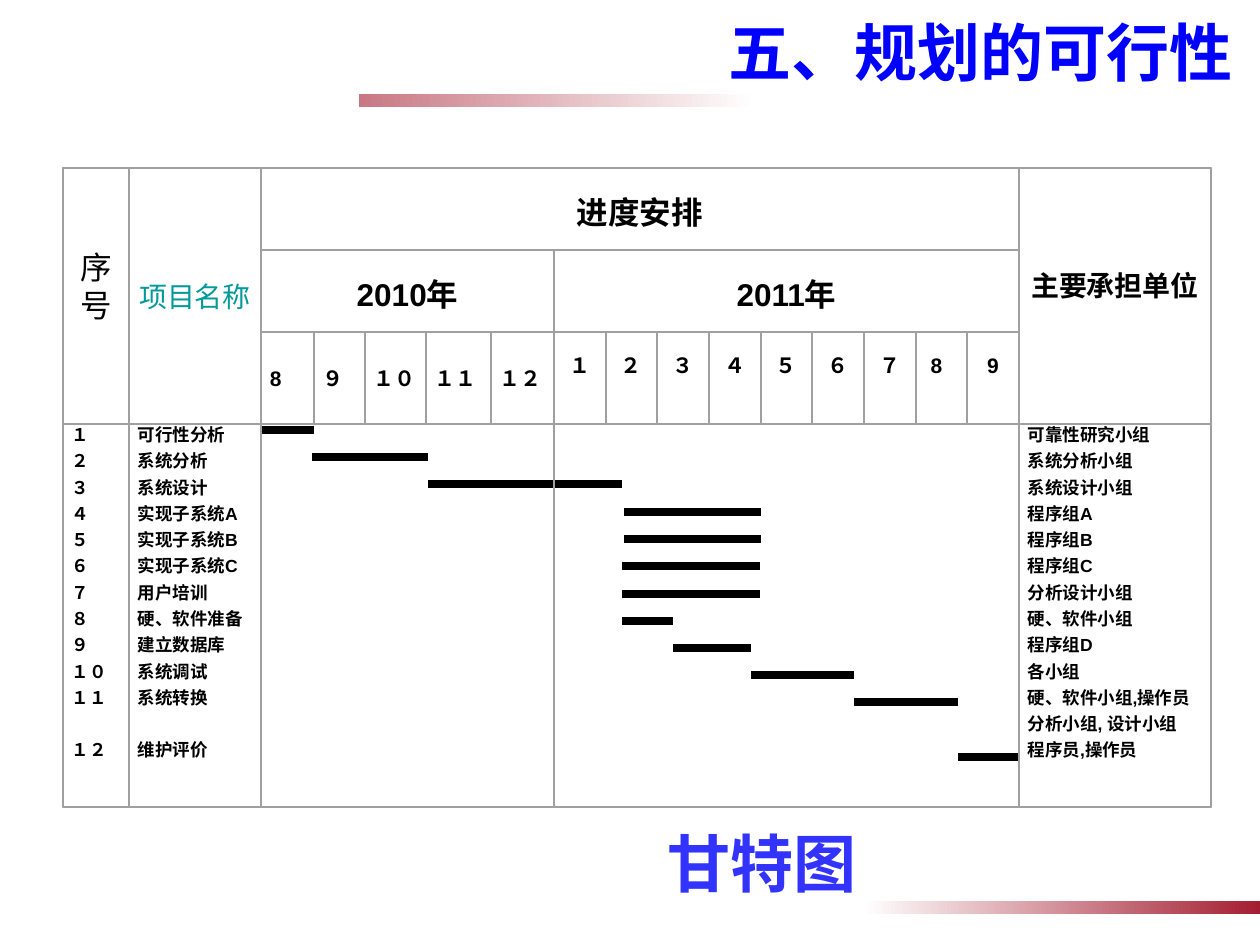
from dataclasses import dataclass

from lxml.etree import SubElement
from pptx import Presentation
from pptx.dml.color import RGBColor as RGB
from pptx.enum.shapes import MSO_CONNECTOR as CONN, MSO_SHAPE as SHAPE
from pptx.enum.text import MSO_ANCHOR as ANCHOR, PP_ALIGN as ALIGN
from pptx.oxml.ns import qn
from pptx.util import Pt


@dataclass(frozen=True)
class Theme:
    """Colours, fonts and type sizes of the deck."""
    title: RGB = RGB(0, 0, 255)
    caption: RGB = RGB(0x33, 0x33, 255)
    accent: RGB = RGB(0, 0x99, 0x99)
    ink: RGB = RGB(0, 0, 0)
    grid: RGB = RGB(0xA0, 0xA0, 0xA0)
    white: RGB = RGB(255, 255, 255)
    red: RGB = RGB(0xA4, 0x1E, 0x31)
    pink: RGB = RGB(0xC8, 0x78, 0x83)
    body_font: str = "Arial"
    title_font: str = "Noto Sans CJK SC"
    caption_font: str = "Times New Roman"
    display: int = 36
    head: int = 18
    label: int = 16
    month: int = 12
    body: int = 10


T = Theme()
PX = 914400 / 126
COLS = [0, 66, 198, 491, 956, 1148]
ROWS = [0, 82, 164, 256, 639]
MONTHS_2010 = ["8", "９", "１０", "１１", "１２"]
EDGES_2010 = [198, 251, 302, 363, 428, 491]
MONTHS_2011 = ["１", "２", "３", "４", "５", "６", "７", " 8", "9"]
EDGES_2011 = [491 + round(i * 465 / 9) for i in range(10)]
NUMBERS = ["１", "２", "３", "４", "５", "６", "７", "８", "９", "１０", "１１", "１２"]
TASKS = ["可行性分析", "系统分析", "系统设计", "实现子系统A", "实现子系统B", "实现子系统C",
         "用户培训", "硬、软件准备", "建立数据库", "系统调试", "系统转换", "维护评价"]
OWNERS = ["可靠性研究小组", "系统分析小组", "系统设计小组", "程序组A", "程序组B", "程序组C",
          "分析设计小组", "硬、软件小组", "程序组D", "各小组", "硬、软件小组,操作员",
          "分析小组, 设计小组", "程序员,操作员"]
BARS = [(0, 199, 251), (1, 249, 365), (2, 365, 559), (3, 561, 698), (4, 561, 698),
        (5, 559, 697), (6, 559, 697), (7, 559, 610), (8, 610, 688), (9, 688, 791),
        (10, 791, 895), (12, 895, 955)]


def emu(*px):
    """Turn px lengths into EMU."""
    return [round(v * PX) for v in px]


def write(sp, lines, size, color=T.ink, font=T.body_font, bold=True, align=ALIGN.CENTER,
          anchor=ANCHOR.TOP, inset=(0, 0, 0, 0), gap=0):
    """Fill a shape with one paragraph per line and return its paragraphs."""
    tf = sp.text_frame
    tf.word_wrap = True
    tf.vertical_anchor = anchor
    tf.margin_left, tf.margin_top, tf.margin_right, tf.margin_bottom = emu(*inset)
    tf.text = "\n".join(lines)
    for i, p in enumerate(tf.paragraphs):
        p.alignment = align
        p.space_before = Pt(gap if i else 0)
        p.font.size, p.font.bold, p.font.name = Pt(size), bold, font
        p.font.color.rgb = color
    return tf.paragraphs


def add_rect(s, box):
    """Add a plain rectangle without a shadow."""
    sp = s.shapes.add_shape(SHAPE.RECTANGLE, *emu(*box))
    sp.shadow.inherit = False
    return sp


def add_cell(s, box, width=0.0):
    """Add an unfilled grid cell with a thin border."""
    sp = add_rect(s, box)
    sp.fill.background()
    sp.line.color.rgb = T.grid
    sp.line.width = Pt(width)
    return sp


def add_stripe(s, box, left, right):
    """Add a decorative stripe fading from left to right."""
    sp = add_rect(s, box)
    sp.line.fill.background()
    sp.fill.gradient()
    sp.fill.gradient_angle = 0
    for stop, color in zip(sp.fill.gradient_stops, (left, right)):
        stop.color.rgb = color


def add_heading(s, box, text, **style):
    """Add a large line of text."""
    write(s.shapes.add_textbox(*emu(*box)), [text], T.display, **style)


def add_bars(s, x, y):
    """Draw the schedule bars on their rows."""
    for row, start, end in BARS:
        top = y + round(262 + row * 27.25)
        ln = s.shapes.add_connector(CONN.STRAIGHT, *emu(x + start, top, x + end, top))
        ln.line.color.rgb = T.ink
        ln.line.width = Pt(4.5)
        SubElement(ln._element.spPr, qn("a:effectLst"))


def add_header(s, cell):
    """Fill the header rows with titles, years and months."""
    mid = dict(anchor=ANCHOR.MIDDLE, inset=(9, 0, 9, 0))
    raised = dict(anchor=ANCHOR.MIDDLE, inset=(9, 0, 9, 21))
    top = dict(inset=(9, 25, 9, 0))
    write(cell(0, 1, 0, 3), "序号", T.head, bold=False, **raised)
    write(cell(1, 2, 0, 3), ["项目名称"], T.label, T.accent, bold=False, **mid)
    write(cell(2, 4, 0, 1), ["进度安排"], T.head, **top)
    write(cell(4, 5, 0, 3), ["主要承担单位"], T.label, **raised)
    write(cell(2, 3, 1, 2), ["2010年"], T.head, **top)
    write(cell(3, 4, 1, 2), ["2011年"], T.head, **top)
    for i, month in enumerate(MONTHS_2010):
        write(cell(i, i + 1, 2, 3, EDGES_2010), [month], T.month, align=ALIGN.LEFT, **mid)
    for i, month in enumerate(MONTHS_2011):
        align = ALIGN.LEFT if month.startswith(" ") else ALIGN.CENTER
        write(cell(i, i + 1, 2, 3, EDGES_2011), [month], T.month, align=align,
              inset=(9, 21, 9, 0))


def add_body(s, cell):
    """Fill the body row with numbers, tasks and owners."""
    for col, lines in ((0, NUMBERS), (1, TASKS), (2, []), (3, []), (4, OWNERS)):
        sp = cell(col, col + 1, 3, 4)
        if lines:
            ps = write(sp, lines, T.body, align=ALIGN.LEFT, inset=(9, 0, 9, 0), gap=3)
            if len(lines) == 12:
                ps[-1].space_before = Pt(18)


def add_gantt(s, box):
    """Place the Gantt chart with its grid, text and bars."""
    x, y, w, h = box

    def cell(c0, c1, r0, r1, cols=COLS):
        """Add the cell spanning the given grid edges."""
        return add_cell(s, (x + cols[c0], y + ROWS[r0], cols[c1] - cols[c0],
                            ROWS[r1] - ROWS[r0]))

    add_bars(s, x, y)
    add_header(s, cell)
    add_body(s, cell)
    add_cell(s, (x, y, w, h), 0.87)


def main():
    """Build and save the slide."""
    prs = Presentation()
    prs.slide_width, prs.slide_height = emu(1260, 945)
    s = prs.slides.add_slide(prs.slide_layouts[6])
    add_stripe(s, (359, 94, 397, 13), T.pink, T.white)
    add_stripe(s, (863, 901, 397, 13), T.white, T.red)
    add_heading(s, (127, 813, 1061, 126), "甘特图", color=T.caption,
                font=T.caption_font, inset=(258, 12, 49, 6))
    add_gantt(s, (63, 168, 1148, 639))
    add_heading(s, (174, 6, 1071, 91), "五、规划的可行性", color=T.title, font=T.title_font,
                align=ALIGN.RIGHT, anchor=ANCHOR.MIDDLE, inset=(13, 6, 13, 6))
    prs.save("out.pptx")


if __name__ == "__main__":
    main()
